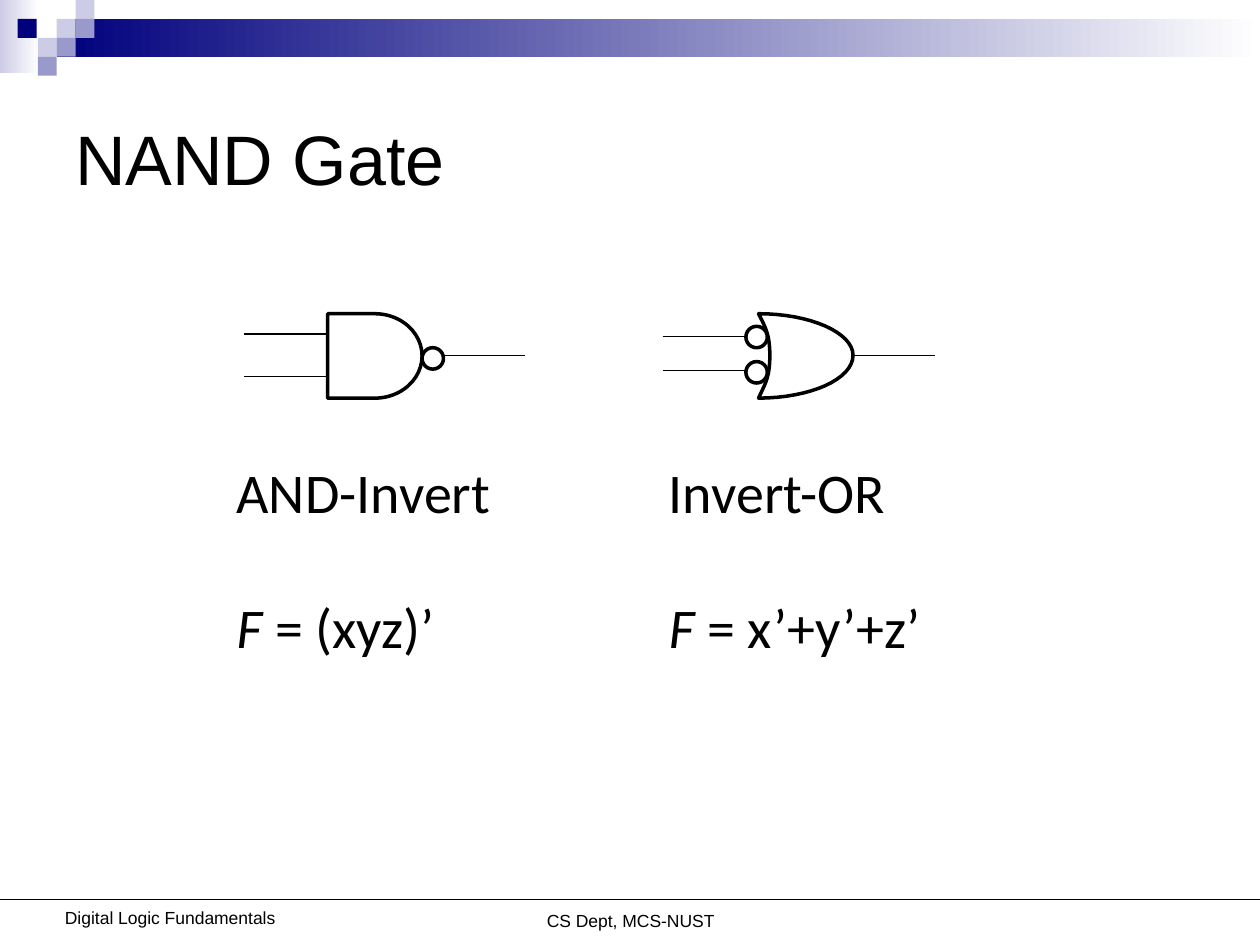
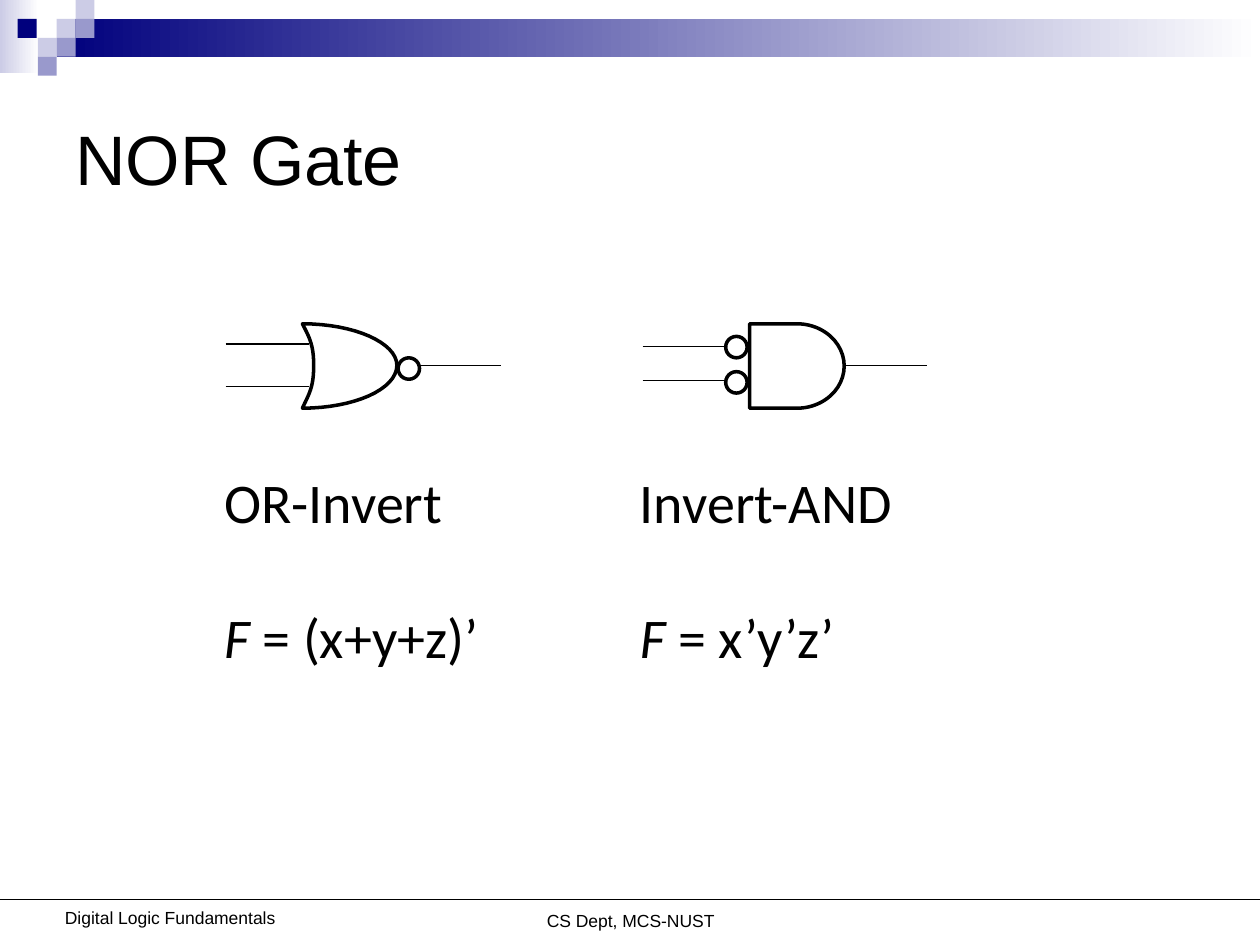
import pptx
import pptx.dml.color
import pptx.enum.shapes
import pptx.enum.text
import pptx.oxml
import pptx.oxml.ns
import pptx.util

Inches = pptx.util.Inches
Pt = pptx.util.Pt
SHAPE = pptx.enum.shapes.MSO_SHAPE
ALIGN = pptx.enum.text.PP_ALIGN
ANCHOR = pptx.enum.text.MSO_ANCHOR

COLORS = {
    "ink": "000000",
    "paper": "FFFFFF",
    "navy": "00007D",
    "lilac": "9999CC",
    "pale": "CCCCE6",
}
TILE = 0.15
TILES = [  # left, top, colour
    (0.45, 0.15, "pale"), (0.6, 0, "pale"), (0.6, 0.15, "lilac"),
    (0.3, 0.3, "pale"), (0.14, 0.15, "navy"), (0.45, 0.3, "lilac"),
    (0.3, 0.45, "lilac"),
]
BODY_W, BODY_H = 0.75, 0.67
WIRE = 0.66
BUBBLE = 0.17

# OR outline: each curve is two controls and an end, from the lower left corner
OR_START = (0, 0.67)
OR_CURVES = [
    [(0.05, 0.56), (0.09, 0.51), (0.09, 0.33)],
    [(0.09, 0.16), (0.05, 0.1), (0, 0)],
    [(0.41, 0), (0.75, 0.15), (0.75, 0.33)],
    [(0.75, 0.52), (0.41, 0.67), (0, 0.67)],
]

# Wire ends and caption offsets are measured from the left edge of the gate body
SLIDES = [
    ("NAND Gate", [
        dict(left=2.6, top=2.49, body="and", inverted="output", input_end=0,
             output_start=0.91, caption_left=-0.82,
             caption="AND-Invert", formula="= (xyz)’"),
        dict(left=6.02, top=2.49, body="or", inverted="inputs", input_end=-0.1,
             output_start=0.74, caption_left=-0.81,
             caption="Invert-OR", formula="= x’+y’+z’"),
    ]),
    ("NOR Gate", [
        dict(left=2.4, top=2.57, body="or", inverted="output", input_end=0.05,
             output_start=0.92, caption_left=-0.72,
             caption="OR-Invert", formula="= (x+y+z)’"),
        dict(left=5.95, top=2.57, body="and", inverted="inputs", input_end=-0.19,
             output_start=0.75, caption_left=-0.97,
             caption="Invert-AND", formula="= x’y’z’"),
    ]),
]


def rgb(name):
    return pptx.dml.color.RGBColor.from_string(COLORS[name])


def add_filled(shapes, preset, left, top, width, height, fill, fade_to=None):
    part = shapes.add_shape(preset, Inches(left), Inches(top), Inches(width), Inches(height))
    part.shadow.inherit = False
    part.line.fill.background()
    if fade_to:
        part.fill.gradient()
        part.fill.gradient_angle = 0
        for stop, position, color in zip(part.fill.gradient_stops, (0, 1), (fill, fade_to)):
            stop.position = position
            stop.color.rgb = rgb(color)
    elif fill:
        part.fill.solid()
        part.fill.fore_color.rgb = rgb(fill)
    else:
        part.fill.background()
    return part


def outline(part):
    part.line.color.rgb = rgb("ink")
    part.line.width = Pt(2)


def add_wire(shapes, start, end, y):
    wire = shapes.add_connector(pptx.enum.shapes.MSO_CONNECTOR.STRAIGHT,
                                Inches(start), Inches(y), Inches(end), Inches(y))
    wire.line.color.rgb = rgb("ink")
    wire.line.width = Pt(0.75)
    wire._element.spPr.append(pptx.oxml.parse_xml(
        "<a:effectLst %s/>" % pptx.oxml.ns.nsdecls("a")))


def add_text(shapes, box, paragraphs, font, size, align=ALIGN.LEFT,
             anchor=ANCHOR.TOP, gap=0):
    """Each paragraph is a list of (text, italic) runs."""
    frame = shapes.add_textbox(*map(Inches, box)).text_frame
    frame.word_wrap = True
    frame.vertical_anchor = anchor
    for index, runs in enumerate(paragraphs):
        paragraph = frame.add_paragraph() if index else frame.paragraphs[0]
        paragraph.alignment = align
        if index:
            paragraph.space_before = Pt(gap)
        for text, italic in runs:
            run = paragraph.add_run()
            run.text = text
            run.font.name = font
            run.font.size = Pt(size)
            run.font.italic = italic
            run.font.color.rgb = rgb("ink")


def add_header(slide):
    banner = slide.shapes.add_group_shape().shapes
    add_filled(banner, SHAPE.RECTANGLE, 0, 0, 0.31, 0.58, "pale", "paper")
    add_filled(banner, SHAPE.RECTANGLE, 0.45, 0.15, 9.55, 0.3, "navy", "paper")
    for left, top, color in TILES:
        add_filled(banner, SHAPE.RECTANGLE, left, top, TILE, TILE, color)


def add_footer(slide):
    for box, label in [((2.92, 7.17, 4.17, 0.27), "CS Dept, MCS-NUST"),
                       ((0.35, 7.15, 2, 0.27), "Digital Logic Fundamentals")]:
        add_text(slide.shapes, box, [[(label, False)]], "Arial", 10, ALIGN.CENTER)
    add_wire(slide.shapes, 0, 10, 7.14)


def add_or_body(shapes, left, top):
    def place(x, y):
        return Inches(left + x), Inches(top + y)

    points, start, steps = [], OR_START, 16
    for first, second, end in OR_CURVES:
        for step in range(1, steps + 1):
            t = step / steps
            points.append(place(*(
                (1 - t) ** 3 * a + 3 * (1 - t) ** 2 * t * b
                + 3 * (1 - t) * t ** 2 * c + t ** 3 * d
                for a, b, c, d in zip(start, first, second, end))))
        start = end
    builder = shapes.build_freeform(*place(*OR_START))
    builder.add_line_segments(points, close=True)
    body = builder.convert_to_shape()
    body.shadow.inherit = False
    body.fill.background()
    return body


def add_gate(slide, left, top, body, inverted, input_end, output_start,
             caption_left, caption, formula):
    shapes = slide.shapes.add_group_shape().shapes
    inverted_inputs = inverted == "inputs"

    # Body
    if body == "or":
        outline(add_or_body(shapes, left, top))
    else:
        outline(add_filled(shapes, SHAPE.FLOWCHART_DELAY, left, top, BODY_W, BODY_H, None))

    # Wires
    input_x, output_x = left + input_end, left + output_start
    input_rows = (0.18, 0.45) if inverted_inputs else (0.16, 0.5)
    for row in input_rows:
        add_wire(shapes, input_x - WIRE, input_x, top + row)
    add_wire(shapes, output_x, output_x + WIRE, top + 0.33)

    # Inversion bubbles
    if inverted_inputs:
        bubbles = [(input_x, top + 0.1), (input_x, top + 0.38)]
    else:
        bubbles = [(output_x - 0.16, top + 0.27)]
    for x, y in bubbles:
        outline(add_filled(shapes, SHAPE.FLOWCHART_CONNECTOR, x, y, BUBBLE, BUBBLE, "paper"))

    # Caption and formula
    add_text(shapes, (left + caption_left, top + 1.09, 2.54, 1.7),
             [[(caption, False)], [("F ", True), (formula, False)]],
             "Calibri", 32, gap=39)


def add_gate_slide(deck, title, gates):
    slide = deck.slides.add_slide(deck.slide_layouts[6])
    add_header(slide)
    add_footer(slide)
    add_text(slide.shapes, (0.5, 0.5, 9, 1.5), [[(title, False)]], "Arial", 40,
             anchor=ANCHOR.MIDDLE)
    for gate in gates:
        add_gate(slide, **gate)


def main():
    deck = pptx.Presentation()
    deck.slide_width, deck.slide_height = Inches(10), Inches(7.5)
    for title, gates in SLIDES:
        add_gate_slide(deck, title, gates)
    deck.save("out.pptx")


if __name__ == "__main__":
    main()
